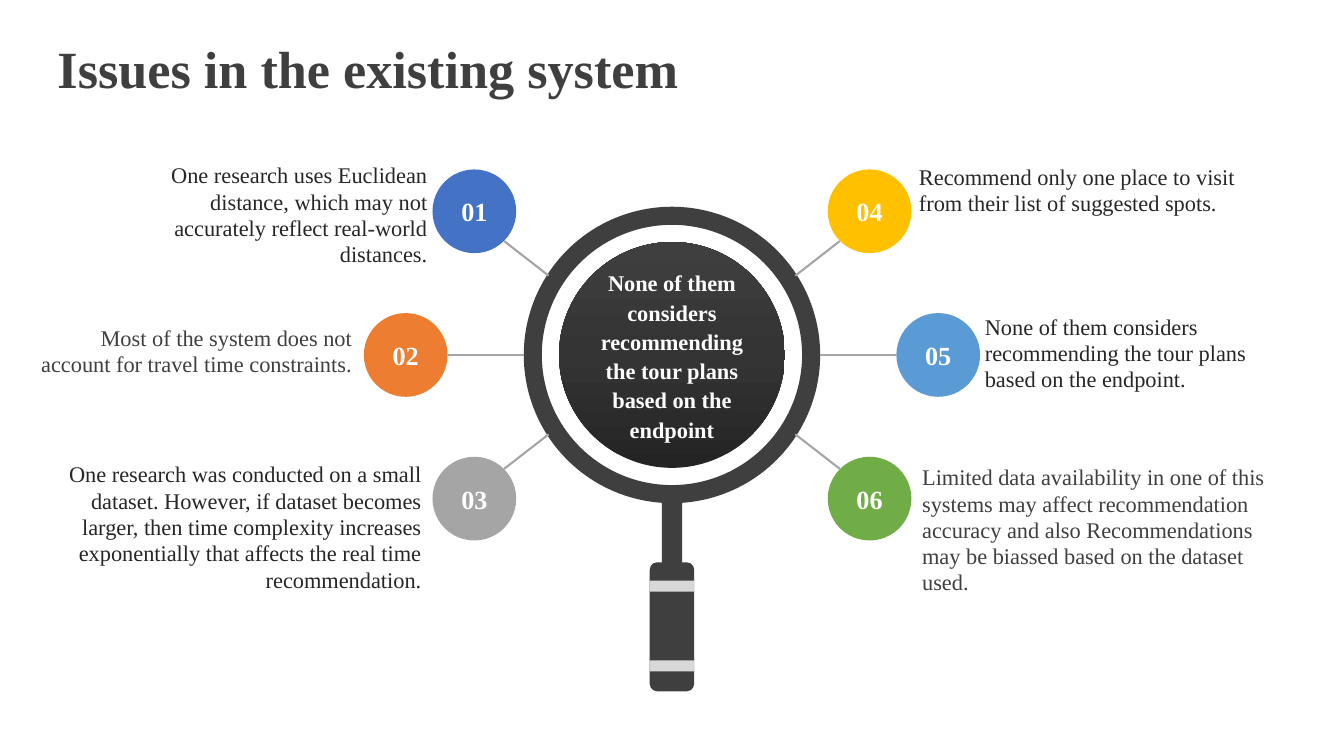
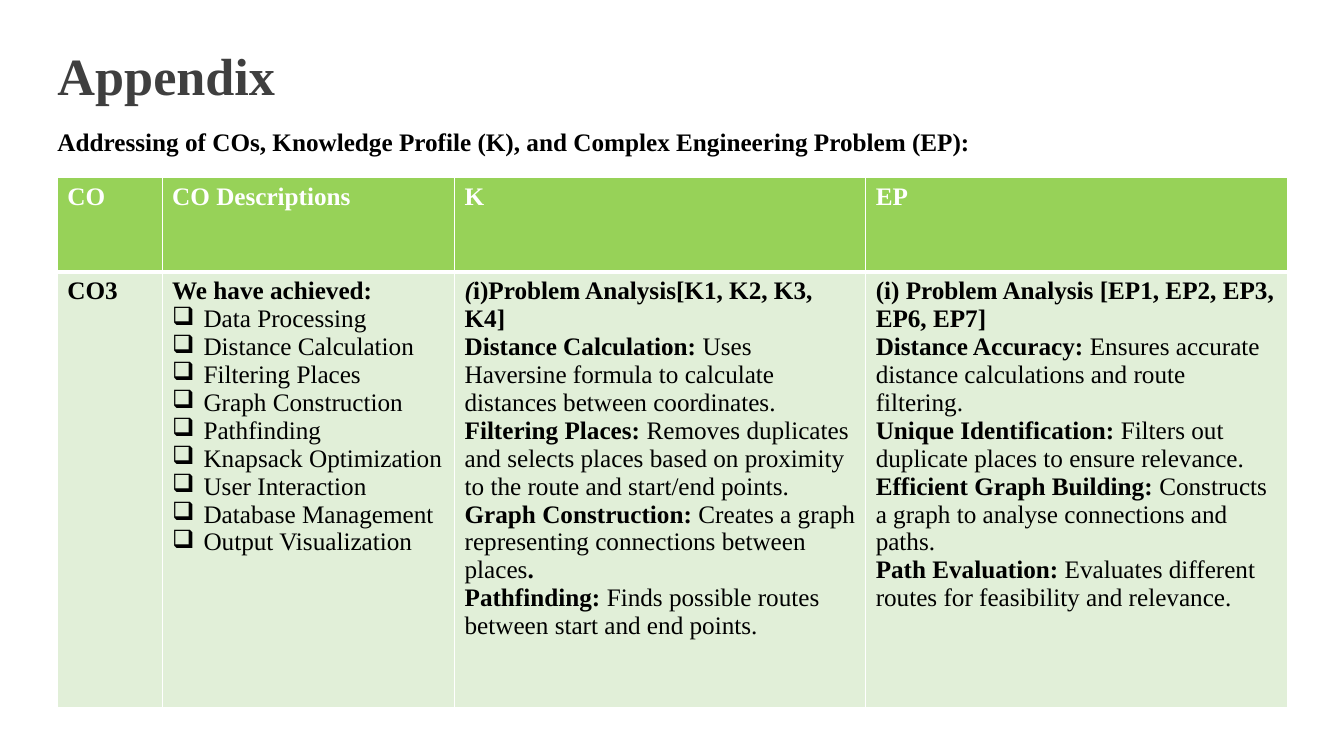
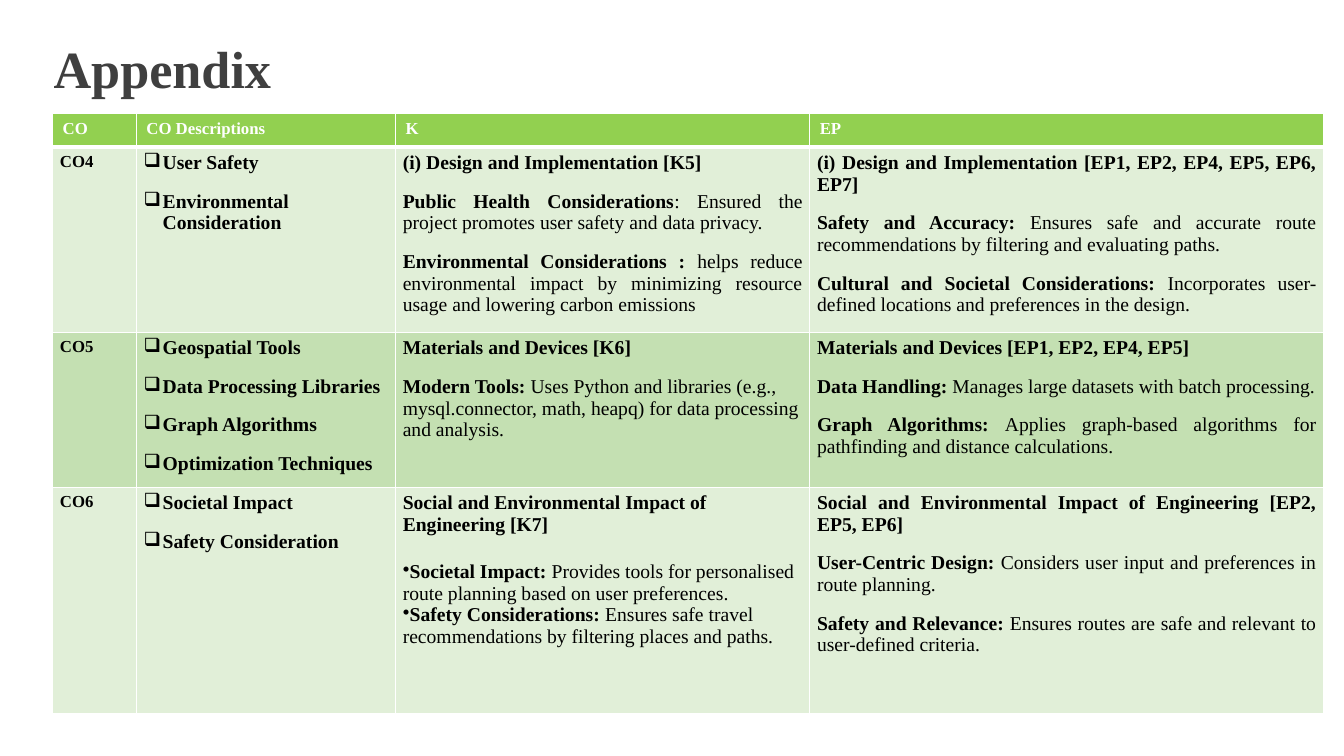
from copy import deepcopy
from dataclasses import dataclass, replace

from lxml import etree
from pptx import Presentation
from pptx import util as u
from pptx.dml import color as dml
from pptx.enum import shapes, text
from pptx.oxml import ns


@dataclass(frozen=True)
class Theme:
    font: str = "Times New Roman"
    dark: str = "3F3F3F"
    ink: str = "262626"
    black: str = "000000"
    white: str = "FFFFFF"
    grey: str = "A5A5A5"
    band: str = "D8D8D8"
    lens: tuple = ((0, "242424"), (50, "343434"), (100, "3F3F3F"))
    header: str = "92D050"
    rows: tuple = ("E1EFD8", "C4E0B2")
    title: float = 37.3
    number: float = 18.7
    large: float = 18
    body: float = 16
    medium: float = 14
    small: float = 12


@dataclass(frozen=True)
class Box:
    left: float
    top: float
    width: float
    height: float

    @property
    def center(self):
        return self.left + self.width / 2, self.top + self.height / 2

    def lengths(self):
        return [u.Cm(v) for v in (self.left, self.top, self.width, self.height)]


@dataclass(frozen=True)
class Para:
    size: float
    color: str = "000000"
    align: object = text.PP_ALIGN.LEFT
    gap: float = 0
    spacing: float = 1.0
    mark: str = ""
    indent: float = 0
    hang: float = 0


T = Theme()
CENTER, RIGHT, JUSTIFY = text.PP_ALIGN.CENTER, text.PP_ALIGN.RIGHT, text.PP_ALIGN.JUSTIFY
MIDDLE, TOP = text.MSO_ANCHOR.MIDDLE, text.MSO_ANCHOR.TOP
KIND = shapes.MSO_SHAPE


def rgb(value):
    return dml.RGBColor.from_string(value)


def sub(parent, tag, **attrs):
    return etree.SubElement(parent, ns.qn(tag), attrs)


def around(x, y, size):
    return Box(x - size / 2, y - size / 2, size, size)


def lines(style, *markups):
    return [(style, markup) for markup in markups]


def write_paragraph(paragraph, style, markup, first):
    if style.mark:
        props = paragraph._p.get_or_add_pPr()
        props.set("marL", str(u.Cm(style.indent)))
        props.set("indent", str(u.Cm(-style.hang)))
        sub(sub(props, "a:buClr"), "a:srgbClr", val=style.color)
        sub(props, "a:buChar", char=style.mark)
    paragraph.alignment = style.align
    paragraph.line_spacing = style.spacing
    paragraph.space_before = u.Pt(0 if first else style.gap)
    for i, piece in enumerate(markup.split("*")):
        if piece:
            run = paragraph.add_run()
            run.text = piece.lstrip("~")
            run.font.name = T.font
            run.font.size = u.Pt(style.size)
            run.font.bold = i % 2 == 1
            run.font.italic = piece.startswith("~")
            run.font.color.rgb = rgb(style.color)


def write(frame, content, anchor=TOP):
    frame.word_wrap = True
    frame.vertical_anchor = anchor
    for i, (style, markup) in enumerate(content):
        paragraph = frame.add_paragraph() if i else frame.paragraphs[0]
        write_paragraph(paragraph, style, markup, i == 0)


def write_flush(shape, content, anchor=TOP):
    frame = shape.text_frame
    frame.margin_left = frame.margin_right = frame.margin_top = frame.margin_bottom = 0
    write(frame, content, anchor)


def add_text(slide, box, style, markup, anchor=TOP):
    write_flush(slide.shapes.add_textbox(*box.lengths()), lines(style, markup), anchor)


def add_solid(parent, kind, box, fill):
    shape = parent.shapes.add_shape(kind, *box.lengths())
    shape.shadow.inherit = False
    shape.fill.solid()
    shape.fill.fore_color.rgb = rgb(fill)
    shape.line.fill.background()
    return shape


def add_title(slide, box, title):
    add_text(slide, box, Para(T.title, T.dark, spacing=0.9), f"*{title}*", MIDDLE)


def add_lens(slide, box, statement):
    lens = add_solid(slide, KIND.OVAL, box, T.dark)
    lens.fill.gradient()
    lens.fill.gradient_angle = 90
    stops = lens._element.spPr.find(".//" + ns.qn("a:gsLst"))
    stops.insert(1, deepcopy(stops[0]))
    for stop, (position, shade) in zip(stops, T.lens):
        stop.set("pos", str(position * 1000))
        for old in list(stop):
            stop.remove(old)
        sub(stop, "a:srgbClr", val=shade)
    style = Para(T.body, T.white, CENTER, spacing=1.09)
    write_flush(lens, lines(style, f"*{statement}*"), MIDDLE)


def add_magnifier(slide, box, statement):
    x = box.center[0]
    ring_center = box.top + box.width / 2
    add_lens(slide, around(x, ring_center, 5.69), statement)
    glass = slide.shapes.add_group_shape()

    def part(kind, top, width, height, fill):
        shape = add_solid(glass, kind, Box(x - width / 2, box.top + top, width, height), fill)
        return shape

    part(KIND.ROUNDED_RECTANGLE, 8.96, 1.12, 3.25, T.dark)
    part(KIND.ROUNDED_RECTANGLE, 7.06, 0.51, 2.18, T.dark)
    for top in (9.42, 11.43):
        part(KIND.RECTANGLE, top, 1.12, 0.28, T.band)
    ring = part(KIND.DONUT, 0, box.width, box.width, T.dark)
    ring.adjustments[0] = 0.061
    return x, ring_center


def add_spoke(slide, start, end):
    spoke = slide.shapes.add_connector(
        shapes.MSO_CONNECTOR.STRAIGHT, *[u.Cm(v) for v in (*start, *end)])
    spoke.line.color.rgb = rgb(T.grey)
    spoke.line.width = u.Pt(1.5)
    sub(spoke._element.spPr, "a:effectLst")


def add_issue(slide, hub, side, level, number, fill, note_box, note_color, note):
    x, y = hub
    badge_offset = 4.98 if level else 6.71
    outer = 4.23 if level else 5.64
    inner = 3.11 if level else 3.74
    badge = add_solid(
        slide, KIND.OVAL, around(x + side * badge_offset, y + level * 3.62, 2.11), fill)
    write_flush(badge, lines(Para(T.number, T.white, CENTER), f"*{number}*"), MIDDLE)
    add_spoke(slide, (x + side * outer, y + level * 2.87),
              (x + side * inner, y + level * 2))
    align = RIGHT if side < 0 else text.PP_ALIGN.LEFT
    add_text(slide, note_box, Para(T.body, note_color, align, spacing=0.98), note)


def draw_border(cell, widths):
    props = cell._tc.get_or_add_tcPr()
    for i, (edge, width) in enumerate(zip("LRTB", widths)):
        line = etree.Element(ns.qn(f"a:ln{edge}"), w=str(u.Pt(width)))
        sub(sub(line, "a:solidFill"), "a:srgbClr", val=T.white)
        props.insert(i, line)


def add_outcomes(slide, box, widths, heights, rows, header_size, body_inset, opacity=100):
    table = slide.shapes.add_table(len(heights), len(widths), *box.lengths()).table
    table.first_row = table.horz_banding = False
    for column, width in zip(table.columns, widths):
        column.width = u.Cm(width)
    for row, height in zip(table.rows, heights):
        row.height = u.Cm(height)
    heading = Para(header_size, T.white)
    header = [lines(heading, f"*{name}*") for name in ("CO", "CO Descriptions", "K", "EP")]
    for r, contents in enumerate([header] + rows):
        for c, content in enumerate(contents):
            cell = table.cell(r, c)
            cell.margin_left = cell.margin_right = u.Cm(body_inset if r else 0.25)
            cell.margin_top = cell.margin_bottom = u.Cm(0.13)
            cell.fill.solid()
            cell.fill.fore_color.rgb = rgb(T.rows[(r - 1) % 2] if r else T.header)
            if r == 0 and opacity < 100:
                shade = cell._tc.tcPr.find(".//" + ns.qn("a:srgbClr"))
                sub(shade, "a:alpha", val=str(opacity * 1000))
            draw_border(cell, (1, 1, 3 if r == 1 else 1, 3 if r == 0 else 1))
            write(cell.text_frame, content)


def build_issues(slide):
    add_title(slide, Box(1.45, 1.04, 30.99, 1.52), "Issues in the existing system")
    hub = add_magnifier(
        slide, Box(13.2, 5.21, 7.47, 12.21),
        "None of them considers recommending the tour plans based on the endpoint")
    issues = [
        (-1, -1, "4472C4", Box(3.18, 4.1, 7.59, 3.4), T.ink,
         "One research uses Euclidean distance, which may not accurately reflect "
         "real-world distances."),
        (-1, 0, "ED7D31", Box(0.97, 8.2, 7.9, 1.3), T.dark,
         "Most of the system does not account for travel time constraints."),
        (-1, 1, T.grey, Box(1.04, 11.64, 9.58, 4), T.ink,
         "One research was conducted on a small dataset. However, if dataset becomes "
         "larger, then time complexity increases exponentially that affects the real "
         "time recommendation."),
        (1, -1, "FFC000", Box(23.16, 4.14, 9.12, 2.3), T.ink,
         "Recommend only one place to visit from their list of suggested spots."),
        (1, 0, "5B9BD5", Box(24.82, 7.92, 7.59, 2.7), T.ink,
         "None of them considers recommending the tour plans based on the endpoint."),
        (1, 1, "70AD47", Box(23.24, 11.71, 9.12, 3.2), T.dark,
         "Limited data availability in one of this systems may affect recommendation "
         "accuracy and also Recommendations may be biassed based on the dataset used."),
    ]
    for i, (side, level, fill, note_box, note_color, note) in enumerate(issues, 1):
        add_issue(slide, hub, side, level, f"{i:02}", fill, note_box, note_color, note)


def build_analysis(slide):
    add_title(slide, Box(1.45, 1.22, 30.99, 1.52), "Appendix")
    add_text(slide, Box(1.45, 3.3, 30.99, 0.64), Para(T.large, spacing=0.9),
             "*Addressing of COs, Knowledge Profile (K), and Complex Engineering "
             "Problem (EP):*", MIDDLE)
    plain = Para(T.large)
    check = replace(plain, mark="❑", indent=0.79, hang=0.79)
    row = [
        lines(plain, "*CO3*"),
        lines(plain, "*We have achieved:*") + lines(
            check, "Data Processing", "Distance Calculation", "Filtering Places",
            "Graph Construction", "Pathfinding", "Knapsack Optimization",
            "User Interaction", "Database Management", "Output Visualization"),
        lines(
            plain,
            "*~(**i)Problem Analysis[K1, K2, K3, K4]*",
            "*Distance Calculation: *Uses Haversine formula to calculate distances "
            "between coordinates.",
            "*Filtering Places: *Removes duplicates and selects places based on "
            "proximity to the route and start/end points.",
            "*Graph Construction: *Creates a graph representing connections between "
            "places*.*",
            "*Pathfinding:* Finds possible routes between start and end points."),
        lines(
            plain,
            "*(i) Problem Analysis [EP1, EP2, EP3, EP6, EP7]*",
            "*Distance Accuracy: *Ensures accurate distance calculations and route "
            "filtering.",
            "*Unique Identification: *Filters out duplicate places to ensure relevance.",
            "*Efficient Graph Building: *Constructs a graph to analyse connections and "
            "paths.",
            "*Path Evaluation:* Evaluates different routes for feasibility and "
            "relevance."),
    ]
    add_outcomes(slide, Box(1.45, 4.47, 30.99, 13.36), (2.64, 7.37, 10.36, 10.62),
                 (2.39, 10.97), [row], T.large, 0.25, 95)


def build_design(slide):
    add_title(slide, Box(1.35, 1.04, 30.99, 1.52), "Appendix")
    code = Para(T.small)
    left = Para(T.medium, gap=12)
    block = replace(left, align=JUSTIFY)
    check = replace(left, mark="❑", indent=0.48, hang=0.48)
    dot = replace(left, gap=0, mark="•", hang=0.25)
    rows = [
        [
            lines(code, "*CO4*"),
            lines(check, "*User Safety*", "*Environmental Consideration*"),
            lines(
                block,
                "*(i) Design and Implementation [K5]*",
                "*Public Health Considerations*: Ensured the project promotes user "
                "safety and data privacy.",
                "*Environmental Considerations : *helps reduce environmental impact by "
                "minimizing resource usage and lowering carbon emissions"),
            lines(
                block,
                "*(i) Design and Implementation [EP1, EP2, EP4, EP5, EP6, EP7]*",
                "*Safety and Accuracy: *Ensures safe and accurate route recommendations "
                "by filtering and evaluating paths.",
                "*Cultural and Societal Considerations: *Incorporates user-defined "
                "locations and preferences in the design."),
        ],
        [
            lines(code, "*CO5*"),
            lines(check, "*Geospatial Tools*", "*Data Processing Libraries*",
                  "*Graph Algorithms*", "*Optimization Techniques*"),
            lines(
                left,
                "*Materials and Devices [K6]*",
                "*Modern Tools: *Uses Python and libraries (e.g., mysql.connector, math, "
                "heapq) for data processing and analysis."),
            lines(
                block,
                "*Materials and Devices [EP1, EP2, EP4, EP5]*",
                "*Data Handling: *Manages large datasets with batch processing.",
                "*Graph Algorithms: *Applies graph-based algorithms for pathfinding and "
                "distance calculations."),
        ],
        [
            lines(code, "*CO6*"),
            lines(check, "*Societal Impact*", "*Safety Consideration*"),
            lines(left, "*Social and Environmental Impact of Engineering [K7]*")
            + lines(
                replace(dot, gap=18),
                "*Societal Impact: *Provides tools for personalised route planning based "
                "on user preferences.")
            + lines(
                dot,
                "*Safety Considerations: *Ensures safe travel recommendations by "
                "filtering places and paths."),
            lines(
                block,
                "*Social and Environmental Impact of Engineering [EP2, EP5, EP6]*",
                "*User-Centric Design: *Considers user input and preferences in route "
                "planning.",
                "*Safety and Relevance: *Ensures routes are safe and relevant to "
                "user-defined criteria."),
        ],
    ]
    add_outcomes(slide, Box(1.33, 2.87, 32.03, 14.78), (2.11, 6.53, 10.44, 12.95),
                 (0.84, 4.39, 3.84, 5.71), rows, T.small, 0.18)


def main():
    deck = Presentation()
    deck.slide_width, deck.slide_height = u.Cm(33.87), u.Cm(19.05)
    for build in (build_issues, build_analysis, build_design):
        build(deck.slides.add_slide(deck.slide_layouts[6]))
    deck.save("out.pptx")


if __name__ == "__main__":
    main()
